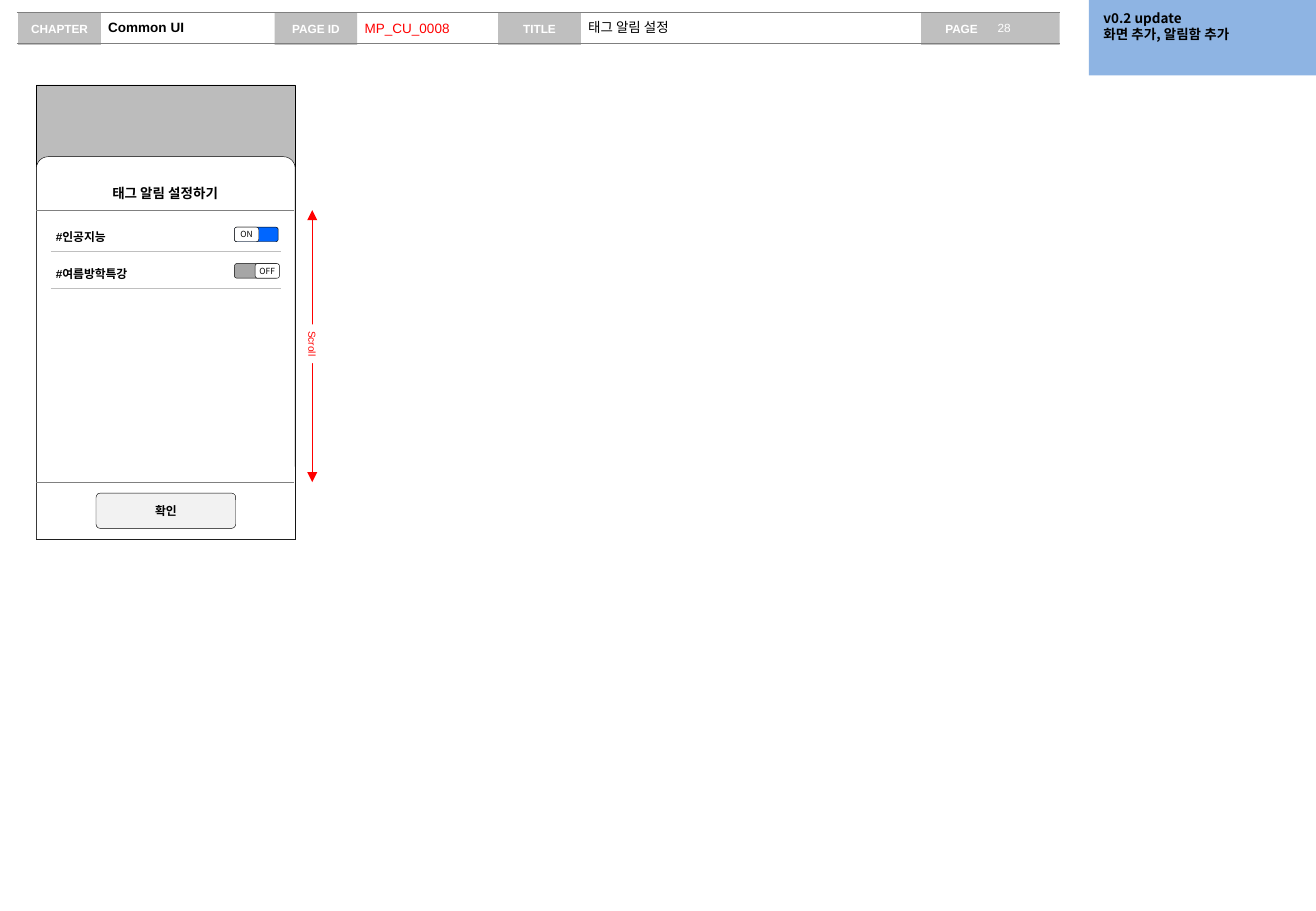
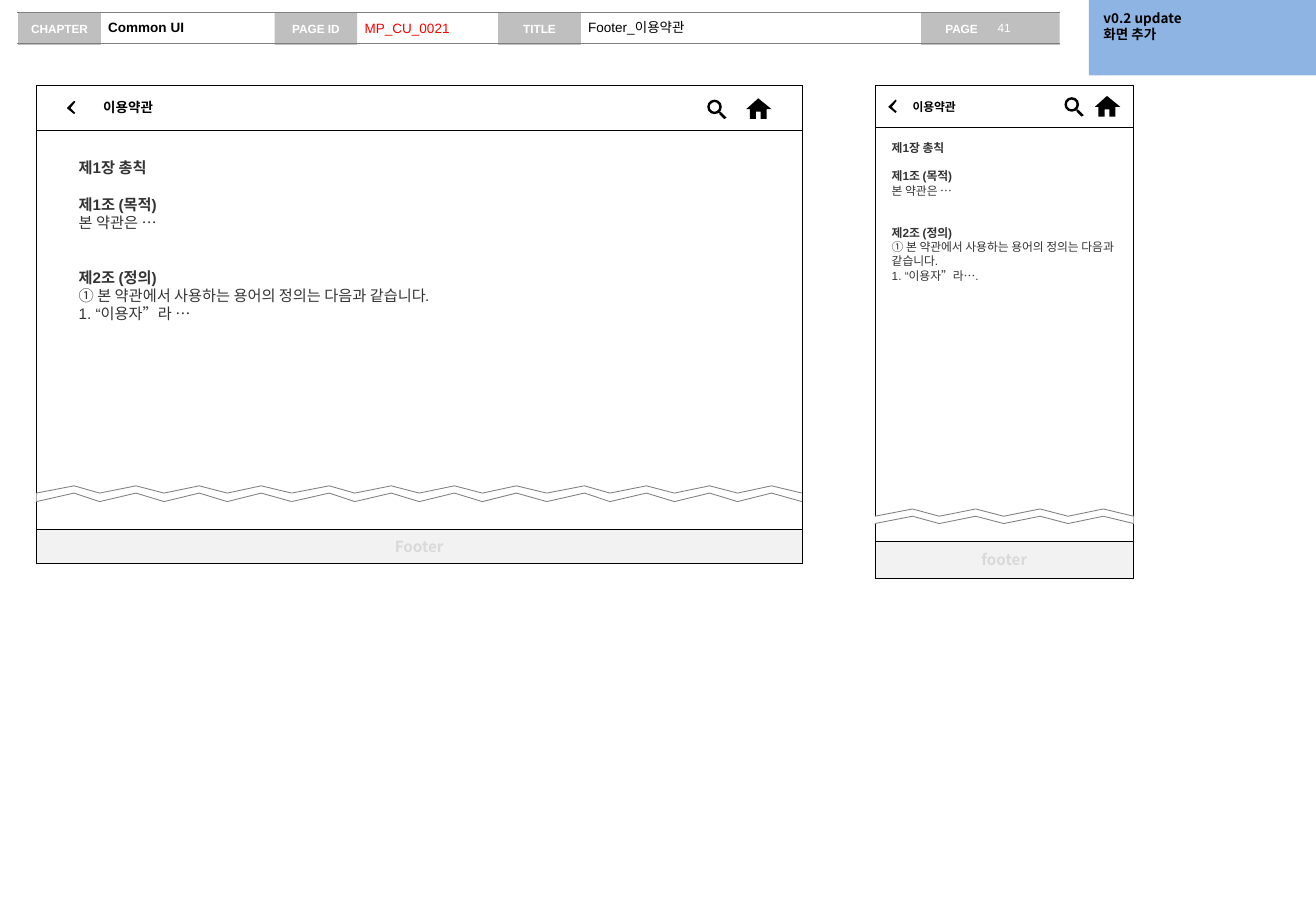
from dataclasses import dataclass

from lxml import etree
from pptx import Presentation, util as u
from pptx.dml.color import RGBColor
from pptx.enum import shapes as es, text as et
from pptx.oxml.ns import qn

PX = 9144  # 100 px to the inch


@dataclass(frozen=True)
class Theme:
    sans: str = "Arial"
    cjk: str = "Noto Sans CJK KR"
    black: str = "000000"
    white: str = "FFFFFF"
    red: str = "FF0000"
    blue: str = "0066FF"
    note: str = "8EB4E3"
    ink: str = "333333"
    shade: str = "595959"
    edge: str = "7F7F7F"
    rule: str = "808080"
    dark: str = "A6A6A6"
    band: str = "BFBFBF"
    faint: str = "D9D9D9"
    pale: str = "F2F2F2"
    hair: float = 0.25
    tiny: int = 5
    mini: int = 6
    small: int = 7
    base: int = 8
    large: int = 9


T = Theme()
S = es.MSO_SHAPE
MID, TOP = et.MSO_ANCHOR.MIDDLE, et.MSO_ANCHOR.TOP
MAIN, LEFT = et.PP_ALIGN.CENTER, et.PP_ALIGN.LEFT

# Header band: label, left edge, width
LABELS = [("CHAPTER", 15, 68), ("PAGE ID", 226, 68), ("TITLE", 410, 68), ("PAGE", 758, 114)]
PAGES = [
    {"chapter": "Common UI", "id": "MP_CU_0008", "title": "태그 알림 설정", "page": "28",
     "note": ["v0.2 update", "화면 추가, 알림함 추가"]},
    {"chapter": "Common UI", "id": "MP_CU_0021", "title": "Footer_이용약관", "page": "41",
     "note": ["v0.2 update", "화면 추가"]},
]
TAGS = [("#인공지능", True), ("#여름방학특강", False)]

# Clause text, bold, empty lines above
TERMS = [
    ("제1장 총칙", True, 0),
    ("제1조 (목적)", True, 1),
    ("본 약관은 …", False, 0),
    ("제2조 (정의)", True, 2),
    ("① 본 약관에서 사용하는 용어의 정의는 다음과 같습니다.", False, 0),
]
VIEWS = [
    {"x": 30, "w": 630, "bar": 37, "foot": (436, 28), "name": "Footer", "inset": 55,
     "head": T.base, "size": T.large, "body": (55, 125, 577, 146), "anchor": MID,
     "last": "1. “이용자”라 …", "waves": 3, "wave": (400, 406, 413),
     "back": (55, 83), "find": (582, 82), "home": (614, 81)},
    {"x": 720, "w": 213, "bar": 35, "foot": (446, 30), "name": "footer", "inset": 31,
     "head": T.small, "size": T.small, "body": (724, 111, 209, 128), "anchor": TOP,
     "last": "1. “이용자”라….", "waves": 1, "wave": (419, 425, 431),
     "back": (731, 82), "find": (876, 80), "home": (901, 79)},
]
BACK = [(7, 1), (6, 0), (0, 6), (6, 11), (7, 10), (3, 6)]
HOME = [(8, 17), (8, 11), (12, 11), (12, 17), (17, 17), (17, 9),
        (21, 9), (10, 0), (0, 9), (3, 9), (3, 17)]
GRIP = [(9, 11), (10, 11), (10, 12), (14, 16), (16, 15), (11, 10), (10, 10)]
WAVE = [0, 31, 52, 82, 105, 134, 157, 185, 210]


def rgb(tone):
    return RGBColor.from_string(tone)


def paint(shape, fill=None, line=None, width=T.hair):
    shape.shadow.inherit = False
    if fill:
        shape.fill.solid()
        shape.fill.fore_color.rgb = rgb(fill)
    else:
        shape.fill.background()
    if line:
        shape.line.color.rgb = rgb(line)
        shape.line.width = u.Pt(width)
    else:
        shape.line.fill.background()
    return shape


def style(para, size, tone=T.black, bold=False, font=T.sans, align=LEFT):
    para.alignment = align
    for run in para.runs:
        run.font.name, run.font.size, run.font.bold = font, u.Pt(size), bold
        run.font.color.rgb = rgb(tone)
        etree.SubElement(run.font._element, qn("a:ea"), typeface=T.cjk)


def write(shape, lines, size, inset=(10, 5, 10, 5), anchor=TOP, wrap=True, **look):
    frame = shape.text_frame
    frame.text = "\n".join(lines)
    frame.word_wrap, frame.vertical_anchor = wrap, anchor
    frame.auto_size = et.MSO_AUTO_SIZE.NONE
    (frame.margin_left, frame.margin_top,
     frame.margin_right, frame.margin_bottom) = [n * PX for n in inset]
    for para in frame.paragraphs:
        style(para, size, **look)
    return frame


def box(slide, at, fill=None, line=None, kind=S.RECTANGLE):
    return paint(slide.shapes.add_shape(kind, *[n * PX for n in at]), fill, line)


def label(slide, at):
    return slide.shapes.add_textbox(*[n * PX for n in at])


def rule(slide, start, end, tone, width=T.hair):
    line = slide.shapes.add_connector(
        es.MSO_CONNECTOR.STRAIGHT, *[n * PX for n in (*start, *end)])
    line.line.color.rgb = rgb(tone)
    line.line.width = u.Pt(width)
    etree.SubElement(line.element.spPr, qn("a:effectLst"))
    return line


def trace(slide, runs, close=True, **look):
    """Draw one freeform out of one or more point runs."""
    pen = slide.shapes.build_freeform(*runs[0][0], scale=PX)
    for i, run in enumerate(runs):
        if i:
            pen.move_to(*run[0])
        pen.add_line_segments(run[1:], close=close)
    return paint(pen.convert_to_shape(), **look)


def icon(slide, spot, points):
    trace(slide, [[(spot[0] + x, spot[1] + y) for x, y in points]], fill=T.black)


def band(slide, layout):
    """Draw the header labels and move them to the layout."""
    parts = []
    for name, x, w in LABELS:
        wide = name == "PAGE"
        part = box(slide, (x, 10, w, 27), T.band)
        write(part, [name], T.small, (20 if wide else 10, 5, 10, 5), MID, False,
              tone=T.white, bold=True, align=LEFT if wide else MAIN)
        parts.append(part)
    parts += [rule(slide, (14, y), (872, y), T.edge, 0.75) for y in (36, 10)]
    for part in parts:
        layout.shapes.element.append(part.element)


def header(slide, page):
    looks = [("chapter", TOP, {"bold": True}), ("id", MID, {"tone": T.red}), ("title", TOP, {})]
    title, first, second = slide.placeholders
    for i, (key, anchor, look) in enumerate(looks):
        part = (title, first, second)[i]
        x = LABELS[i][1] + LABELS[i][2]
        part.left, part.top = x * PX, 11 * PX
        part.width, part.height = (LABELS[i + 1][1] - x) * PX, 24 * PX
        part.text_frame.text = page[key]
        frame = write(part, [page[key]], T.base, (6, 5, 0, 5), anchor, **look)
        para = frame.paragraphs[0]
        para.space_before = u.Pt(0)
        props = para._p.get_or_add_pPr()
        props.set("marL", "0")
        props.set("indent", "0")
        etree.SubElement(props, qn("a:buNone"))
    write(label(slide, (817, 12, 55, 22)), [page["page"]], T.small, (4, 5, 0, 5), tone=T.white)
    write(box(slide, (896, 0, 188, 62), T.note), page["note"], T.base, (12, 8, 10, 5),
          bold=True, font=T.cjk)


def toggle(slide, y, on):
    box(slide, (193, y, 36, 12), T.blue if on else T.dark, T.black, S.ROUNDED_RECTANGLE)
    knob = box(slide, (193 if on else 210, y, 20, 12), T.white, T.black, S.ROUNDED_RECTANGLE)
    write(knob, ["ON" if on else "OFF"], T.tiny, (0, 0, 0, 0), MID, font=T.cjk, align=MAIN)


def settings(slide):
    back = box(slide, (30, 70, 213, 374), T.shade, T.black)
    tint = back.fill._xPr.find(qn("a:solidFill"))[0]
    etree.SubElement(tint, qn("a:alpha"), val="40000")
    sheet = box(slide, (30, 129, 213, 315), T.white, T.black, S.ROUND_2_SAME_RECTANGLE)
    sheet.adjustments[0] = 0.045
    write(label(slide, (87, 152, 98, 13)), ["태그 알림 설정하기"], T.base, (0, 0, 0, 0),
          wrap=False, bold=True, align=MAIN)
    for y in (173, 397):
        rule(slide, (30, y), (242, y), T.rule)

    for i, (tag, on) in enumerate(TAGS):
        y = 187 + 30 * i
        toggle(slide, y, on)
        rule(slide, (42, y + 20), (231, y + 20), T.band)
        frame = write(label(slide, (46, y - 1, 111, 14)), [tag], T.small, (0, 0, 0, 0), bold=True)
        frame.paragraphs[0].line_spacing = 1.3

    button = box(slide, (79, 406, 115, 29), T.pale, T.black, S.ROUNDED_RECTANGLE)
    button.adjustments[0] = 0.12
    write(button, ["확인"], T.small, anchor=MID, bold=True, font=T.cjk, align=MAIN)

    arrow = rule(slide, (257, 173), (257, 397), T.red)
    for end in ("a:headEnd", "a:tailEnd"):
        etree.SubElement(arrow.line._get_or_add_ln(), qn(end), type="triangle")
    scroll = box(slide, (241, 278, 32, 10), T.white)
    scroll.rotation = 90
    write(scroll, ["Scroll"], T.mini, (4, 0, 4, 0), MID, False, tone=T.red, align=MAIN)


def tear(slide, x, w, levels):
    """Draw a white zigzag band with a line along both edges."""
    peak, mid, base = levels

    def edge(high, low):
        return [(x + round(n * w / WAVE[-1]), high if i % 2 else low)
                for i, n in enumerate(WAVE)]

    upper, lower = edge(peak, mid), edge(mid, base)
    trace(slide, [upper + lower[::-1]], fill=T.white)
    trace(slide, [lower, upper], close=False, line=T.rule, width=0.5)


def view(slide, v):
    x, w, (y, h) = v["x"], v["w"], v["foot"]
    box(slide, (x, 70, w, y + h - 70), line=T.black)
    write(box(slide, (x, 70, w, v["bar"]), T.white, T.black), ["이용약관"], v["head"],
          (v["inset"], 5, 10, 5), MID, bold=True, font=T.cjk)
    write(box(slide, (x, y, w, h), T.pale, T.black), [v["name"]], T.large, anchor=MID,
          tone=T.faint, bold=True, font=T.cjk, align=MAIN)
    step = w // v["waves"]
    for i in range(v["waves"]):
        tear(slide, x + i * step, step, v["wave"])

    terms = TERMS + [(v["last"], False, 0)]
    frame = write(label(slide, v["body"]), [t[0] for t in terms], v["size"],
                  anchor=v["anchor"], tone=T.ink)
    for para, (_, bold, gap) in zip(frame.paragraphs, terms):
        para.runs[0].font.bold = bold
        if gap:
            para.space_before = u.Pt(round(gap * 1.2 * v["size"], 1))

    icon(slide, v["back"], BACK)
    icon(slide, v["home"], HOME)
    icon(slide, v["find"], GRIP)
    lens = box(slide, (*v["find"], 12, 12), T.black, kind=S.DONUT)
    lens.adjustments[0] = 0.17


def terms(slide):
    for v in VIEWS:
        view(slide, v)


def main():
    deck = Presentation()
    deck.slide_width, deck.slide_height = 1083 * PX, 750 * PX
    layout = deck.slide_layouts[3]
    for i, (page, draw) in enumerate(zip(PAGES, (settings, terms))):
        slide = deck.slides.add_slide(layout)
        if i == 0:
            band(slide, layout)
        header(slide, page)
        draw(slide)
    deck.save("out.pptx")


if __name__ == "__main__":
    main()
